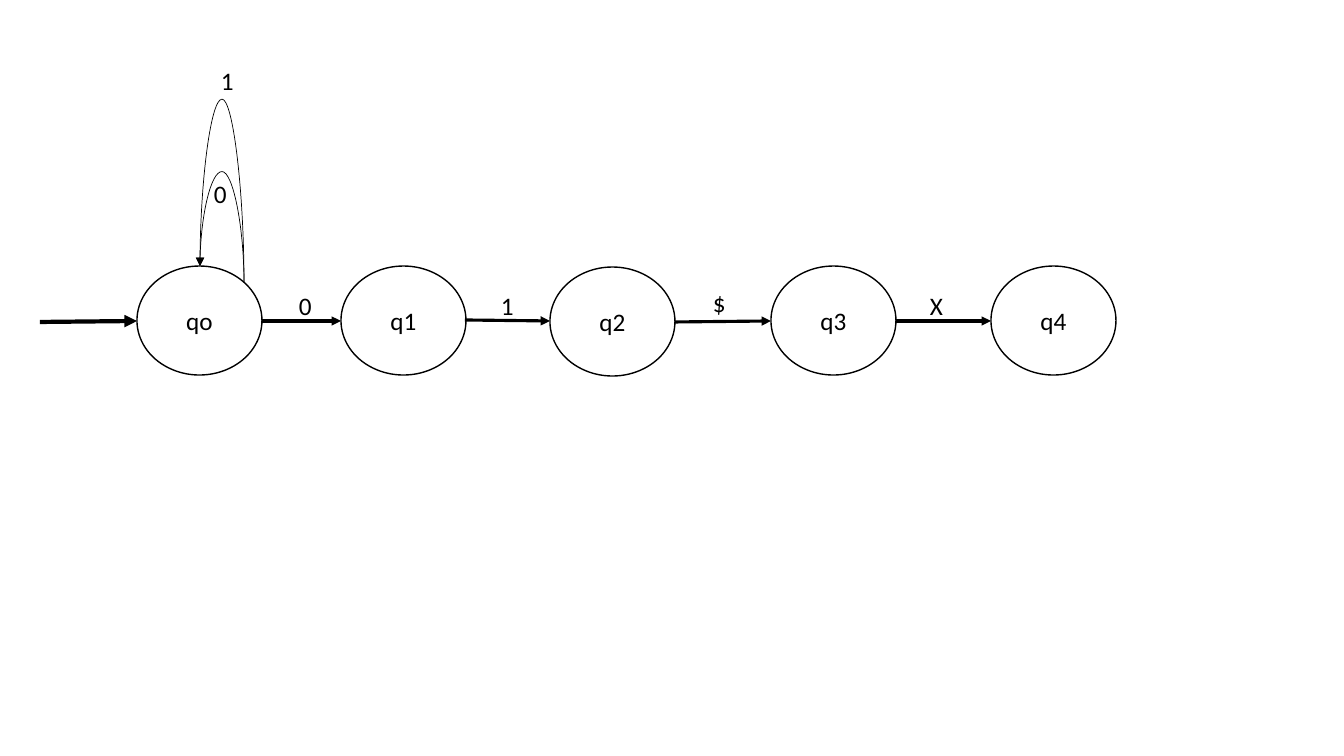
from lxml import etree
from pptx import Presentation
from pptx.dml.color import RGBColor
from pptx.enum.shapes import MSO_CONNECTOR, MSO_SHAPE
from pptx.enum.text import MSO_ANCHOR, PP_ALIGN
from pptx.oxml.ns import qn
from pptx.util import Pt

STRAIGHT, CURVE = MSO_CONNECTOR.STRAIGHT, MSO_CONNECTOR.CURVE
OVAL = MSO_SHAPE.OVAL
MIDDLE = MSO_ANCHOR.MIDDLE
LEFT, CENTER = PP_ALIGN.LEFT, PP_ALIGN.CENTER
SCALE = 914400 / 100.8
BLACK, WHITE = "000000", "FFFFFF"


def pixels(*lengths):
    return [round(length * SCALE) for length in lengths]


def color(value):
    return RGBColor.from_string(value)


deck = Presentation()
deck.slide_width, deck.slide_height = pixels(1344, 756)
page = deck.slides.add_slide(deck.slide_layouts[6])

states = [
    ("qo", 137, 266),
    ("q1", 341, 266),
    ("q2", 550, 267),
    ("q3", 771, 266),
    ("q4", 991, 266),
]
labels = [
    ("0", 289, 285),
    ("1", 491, 285),
    ("$", 703, 282),
    ("X", 920, 285),
    ("0", 204, 173),
    ("1", 211, 60),
]
transitions = [
    (40, 322, 137, 321, 3),
    (262, 321, 341, 321, 2.25),
    (465, 320, 550, 321, 2.25),
    (675, 322, 771, 321, 2.25),
    (896, 321, 991, 321, 2.25),
]
loop_bends = [690500, 1143400]

texts = []
for name, left, top in states:
    state = page.shapes.add_shape(OVAL, *pixels(left, top, 125, 109))
    state.shadow.inherit = False
    state.fill.solid()
    state.fill.fore_color.rgb = color(WHITE)
    state.line.color.rgb = color(BLACK)
    state.line.width = Pt(1)
    state.text_frame.vertical_anchor = MIDDLE
    texts.append((state, name, CENTER))

arrows = []
for *ends, width in transitions:
    arrow = page.shapes.add_connector(STRAIGHT, *pixels(*ends))
    arrows.append((arrow, width))

for bend in loop_bends:
    loop = page.shapes.add_connector(CURVE, *pixels(214, 252, 230, 296))
    frame = loop._element.spPr.find(qn("a:xfrm"))
    frame.set("rot", str(270 * 60000))
    frame.set("flipV", "1")
    geometry = loop._element.spPr.find(qn("a:prstGeom"))
    guides = geometry.find(qn("a:avLst"))
    if guides is None:
        guides = etree.SubElement(geometry, qn("a:avLst"))
    etree.SubElement(guides, qn("a:gd"), name="adj1", fmla=f"val {bend}")
    arrows.append((loop, 0.5))

for arrow, width in arrows:
    arrow.line.color.rgb = color(BLACK)
    arrow.line.width = Pt(width)
    outline = arrow._element.spPr.find(qn("a:ln"))
    etree.SubElement(outline, qn("a:tailEnd"), type="triangle")
    etree.SubElement(arrow._element.spPr, qn("a:effectLst"))

for symbol, left, top in labels:
    box = page.shapes.add_textbox(*pixels(left, top, 23, 40))
    box.text_frame.word_wrap = True
    texts.append((box, symbol, LEFT))

font_format = {"name": "Calibri", "size": Pt(18)}
for holder, words, alignment in texts:
    para = holder.text_frame.paragraphs[0]
    para.alignment = alignment
    span = para.add_run()
    span.text = words
    for attribute, value in font_format.items():
        setattr(span.font, attribute, value)
    span.font.color.rgb = color(BLACK)

deck.save("out.pptx")
